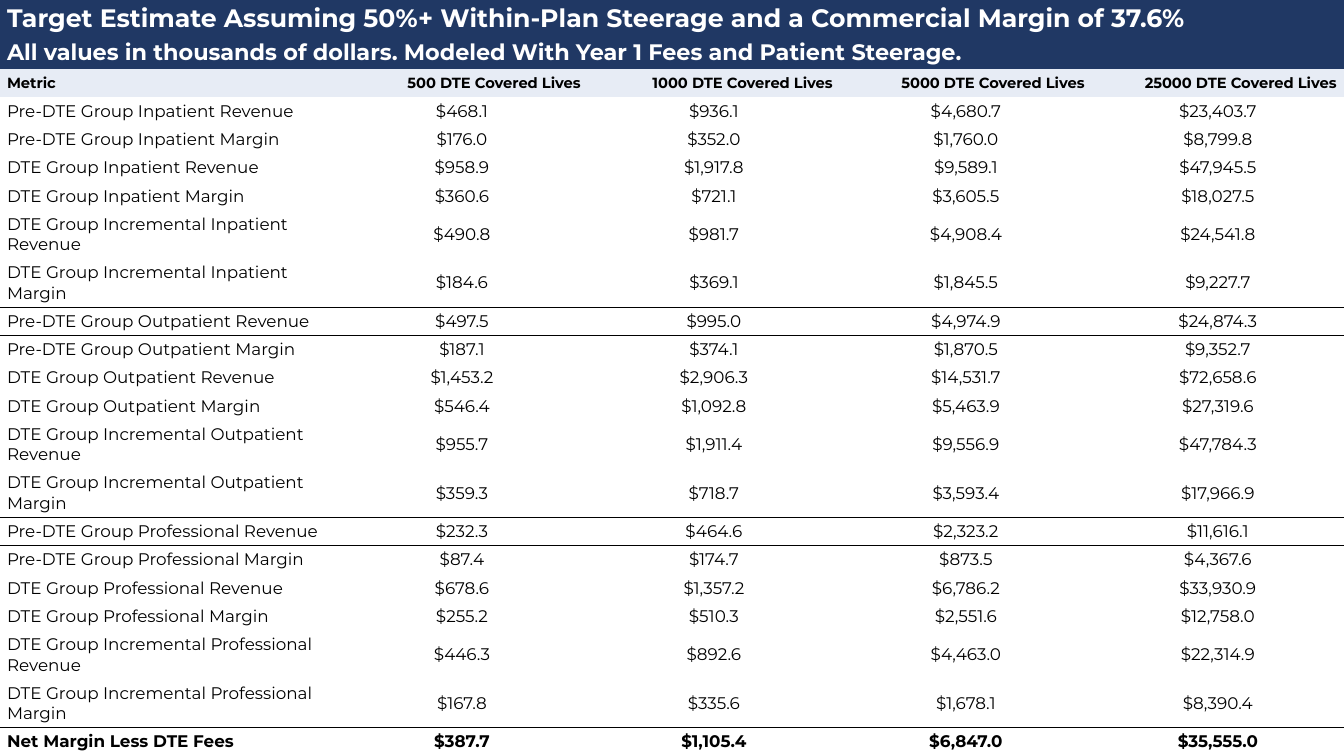
from lxml import etree
from pptx import Presentation
from pptx.dml.color import RGBColor
from pptx.enum.text import MSO_ANCHOR, PP_ALIGN
from pptx.oxml.ns import qn
from pptx.util import Inches, Pt

LEFT, CENTER, RIGHT = PP_ALIGN.LEFT, PP_ALIGN.CENTER, PP_ALIGN.RIGHT
MIDDLE = MSO_ANCHOR.MIDDLE
NAVY = RGBColor(0x20, 0x38, 0x64)
PALE_BLUE = RGBColor(0xE7, 0xEC, 0xF5)
WHITE = RGBColor(0xFF, 0xFF, 0xFF)
BLACK = RGBColor(0, 0, 0)
FONT_NAME = "Montserrat"
TEXT_INDENT = Inches(0.07)
NO_STYLE_NO_GRID = "{2D5ABB26-0587-4C30-8999-92F81FD0307C}"


def write_cell(cell, text, size=12, bold=False, color=BLACK, align=CENTER):
    cell.margin_left = cell.margin_right = cell.margin_top = cell.margin_bottom = 0
    cell.vertical_anchor = MIDDLE
    paragraph = cell.text_frame.paragraphs[0]
    paragraph.alignment = align
    properties = paragraph._p.get_or_add_pPr()
    properties.set("marL", str(TEXT_INDENT))
    properties.set("marR", str(TEXT_INDENT))
    properties.set("indent", "0")
    run = paragraph.add_run()
    run.text = text
    run.font.name = FONT_NAME
    run.font.size = Pt(size)
    run.font.bold = bold
    run.font.color.rgb = color


def draw_border(cell, side):
    properties = cell._tc.get_or_add_tcPr()
    line = etree.Element(qn(f"a:{side}"), w=str(Pt(1)))
    solid_fill = etree.SubElement(line, qn("a:solidFill"))
    etree.SubElement(solid_fill, qn("a:srgbClr"), val=str(BLACK))
    properties.insert(0, line)


# Table content
TITLES = [
    ("Target Estimate Assuming 50%+ Within-Plan Steerage and a Commercial Margin of 37.6%", 18),
    ("All values in thousands of dollars. Modeled With Year 1 Fees and Patient Steerage.", 16),
]
COVERED_LIVES = [500, 1000, 5000, 25000]
METRICS = [
    "Pre-DTE Group {} Revenue",
    "Pre-DTE Group {} Margin",
    "DTE Group {} Revenue",
    "DTE Group {} Margin",
    "DTE Group Incremental {} Revenue",
    "DTE Group Incremental {} Margin",
]
VALUES = {
    "Inpatient": [
        (468.1, 936.1, 4680.7, 23403.7),
        (176.0, 352.0, 1760.0, 8799.8),
        (958.9, 1917.8, 9589.1, 47945.5),
        (360.6, 721.1, 3605.5, 18027.5),
        (490.8, 981.7, 4908.4, 24541.8),
        (184.6, 369.1, 1845.5, 9227.7),
    ],
    "Outpatient": [
        (497.5, 995.0, 4974.9, 24874.3),
        (187.1, 374.1, 1870.5, 9352.7),
        (1453.2, 2906.3, 14531.7, 72658.6),
        (546.4, 1092.8, 5463.9, 27319.6),
        (955.7, 1911.4, 9556.9, 47784.3),
        (359.3, 718.7, 3593.4, 17966.9),
    ],
    "Professional": [
        (232.3, 464.6, 2323.2, 11616.1),
        (87.4, 174.7, 873.5, 4367.6),
        (678.6, 1357.2, 6786.2, 33930.9),
        (255.2, 510.3, 2551.6, 12758.0),
        (446.3, 892.6, 4463.0, 22314.9),
        (167.8, 335.6, 1678.1, 8390.4),
    ],
}
NET_MARGIN = ("Net Margin Less DTE Fees", (387.7, 1105.4, 6847.0, 35555.0))

body_rows = [
    (metric.format(care), values)
    for care, care_values in VALUES.items()
    for metric, values in zip(METRICS, care_values)
] + [NET_MARGIN]

# Slide
presentation = Presentation()
presentation.slide_width = Inches(13.333)
presentation.slide_height = Inches(7.5)
slide = presentation.slides.add_slide(presentation.slide_layouts[6])

# Table grid: shares of the slide's width and height
column_shares = [4] + [3] * len(COVERED_LIVES)
care_heights = [0.28] * 4 + [0.48] * 2
row_shares = [0.36, 0.32, 0.28] + care_heights * len(VALUES) + [0.28]
frame = slide.shapes.add_table(
    len(row_shares), len(column_shares), 0, 0,
    presentation.slide_width, presentation.slide_height)
frame.element.xpath(".//a:tableStyleId")[0].text = NO_STYLE_NO_GRID
table = frame.table
table.first_row = table.horz_banding = False
for column, share in zip(table.columns, column_shares):
    column.width = int(presentation.slide_width * share / sum(column_shares))
for row, share in zip(table.rows, row_shares):
    row.height = int(presentation.slide_height * share / sum(row_shares))

# Row fills
header_row = len(TITLES)
first_body_row = header_row + 1
for row_index, row in enumerate(table.rows):
    for cell in row.cells:
        if row_index > header_row:
            cell.fill.background()
        else:
            cell.fill.solid()
            cell.fill.fore_color.rgb = PALE_BLUE if row_index == header_row else NAVY

# Title rows across all columns
for row_index, (title, size) in enumerate(TITLES):
    title_cell = table.cell(row_index, 0)
    title_cell.merge(table.cell(row_index, len(COVERED_LIVES)))
    write_cell(title_cell, title, size=size, bold=True, color=WHITE, align=LEFT)

# Column headings
write_cell(table.cell(header_row, 0), "Metric", size=10.5, bold=True, align=LEFT)
for column_index, lives in enumerate(COVERED_LIVES, start=1):
    write_cell(table.cell(header_row, column_index), f"{lives} DTE Covered Lives",
               size=10.5, bold=True, align=RIGHT)

# Metrics and the net margin
for row_index, (metric, values) in enumerate(body_rows, start=first_body_row):
    is_net = metric == NET_MARGIN[0]
    write_cell(table.cell(row_index, 0), metric, bold=is_net, align=LEFT)
    for column_index, value in enumerate(values, start=1):
        write_cell(table.cell(row_index, column_index), f"${value:,.1f}", bold=is_net)

# Rules below each kind of care
for care_number in range(1, len(VALUES) + 1):
    next_row = first_body_row + care_number * len(METRICS)
    for column_index in range(len(column_shares)):
        draw_border(table.cell(next_row - 1, column_index), "lnB")
        draw_border(table.cell(next_row, column_index), "lnT")

presentation.save("out.pptx")
